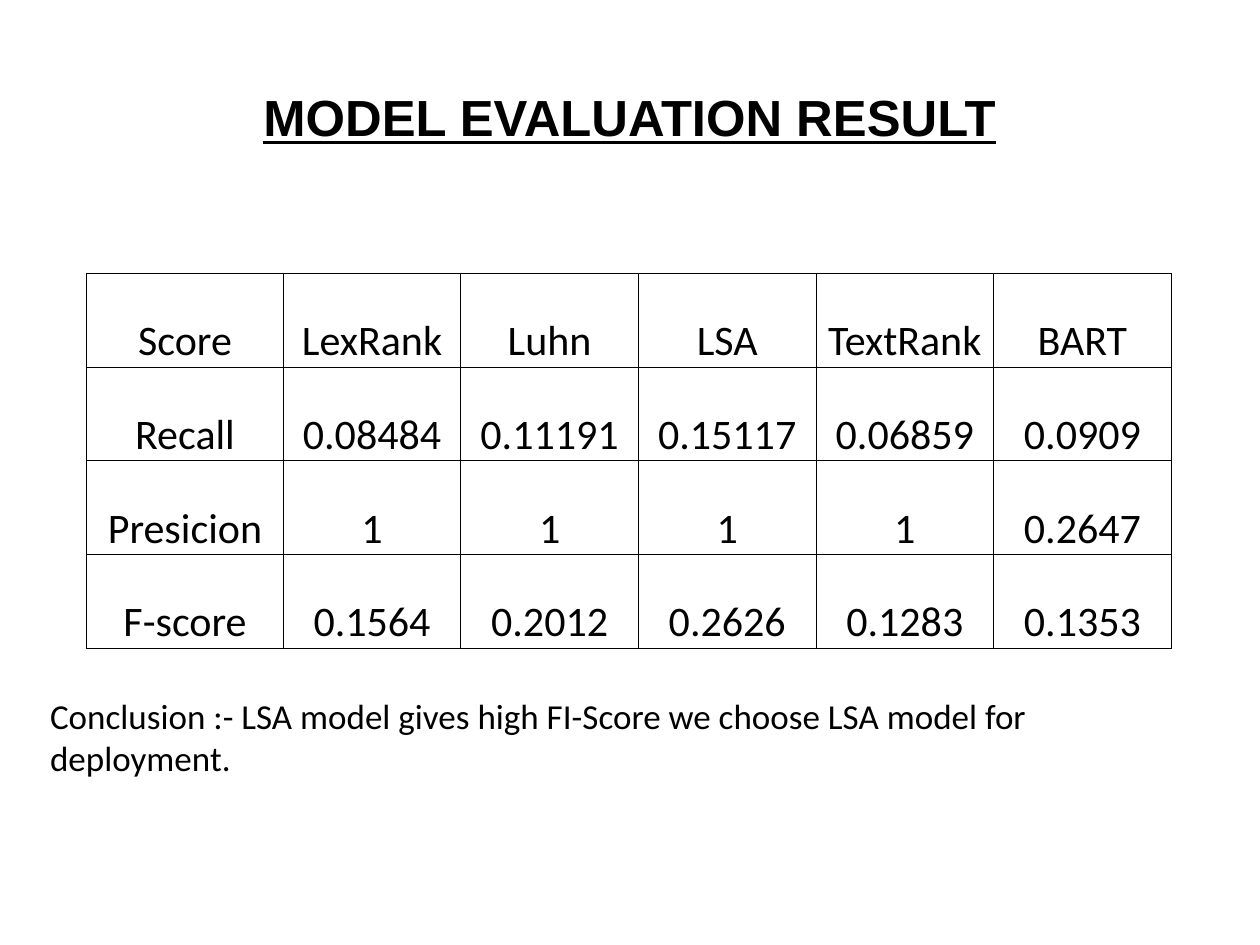
from dataclasses import dataclass

from lxml import etree
from pptx import Presentation
from pptx.dml.color import RGBColor
from pptx.enum import text
from pptx.oxml import ns
from pptx.util import Cm, Pt

COLORS = {"ink": "000000", "paper": "FFFFFF"}


@dataclass(frozen=True)
class Style:
    font: str
    size: float
    bold: bool = False
    underline: bool = False
    align: text.PP_ALIGN = text.PP_ALIGN.CENTER


@dataclass(frozen=True)
class Box:
    left: float
    top: float
    width: float
    height: float

    def lengths(self) -> tuple:
        return Cm(self.left), Cm(self.top), Cm(self.width), Cm(self.height)


TITLE = Style("Arial", 29, bold=True, underline=True)
CELL = Style("Calibri", 24)
NOTE = Style("Calibri", 20, align=text.PP_ALIGN.LEFT)

SCORES = [
    ["Score", "LexRank", "Luhn", "LSA", "TextRank", "BART"],
    ["Recall", "0.08484", "0.11191", "0.15117", "0.06859", "0.0909"],
    ["Presicion", "1", "1", "1", "1", "0.2647"],
    ["F-score", "0.1564", "0.2012", "0.2626", "0.1283", "0.1353"],
]
LABEL_WIDTH, MODEL_WIDTH, ROW_HEIGHT = 3.96, 3.58, 1.89


def write(tf, words: str, style: Style) -> None:
    p = tf.paragraphs[0]
    p.alignment = style.align
    r = p.add_run()
    r.text = words
    r.font.name, r.font.size = style.font, Pt(style.size)
    r.font.bold, r.font.underline = style.bold, style.underline
    r.font.color.rgb = RGBColor.from_string(COLORS["ink"])


def add_borders(cell, width: float) -> None:
    tc_pr = cell._tc.get_or_add_tcPr()
    for i, side in enumerate(("lnL", "lnR", "lnT", "lnB")):
        ln = etree.Element(ns.qn(f"a:{side}"), w=str(Pt(width)))
        fill = etree.SubElement(ln, ns.qn("a:solidFill"))
        etree.SubElement(fill, ns.qn("a:srgbClr"), val=COLORS["ink"])
        tc_pr.insert(i, ln)  # borders come before the fill


def add_scores(s, left: float, top: float, rows: list[list[str]]) -> None:
    widths = [LABEL_WIDTH] + [MODEL_WIDTH] * (len(rows[0]) - 1)
    box = Box(left, top, sum(widths), ROW_HEIGHT * len(rows))
    table = s.shapes.add_table(len(rows), len(widths), *box.lengths()).table
    table.first_row = table.horz_banding = False
    for column, width in zip(table.columns, widths):
        column.width = Cm(width)
    for i, row in enumerate(rows):
        table.rows[i].height = Cm(ROW_HEIGHT)
        for j, words in enumerate(row):
            cell = table.cell(i, j)
            cell.fill.background()
            cell.margin_left = cell.margin_right = cell.margin_top = Cm(0.03)
            cell.margin_bottom = 0
            cell.vertical_anchor = text.MSO_ANCHOR.BOTTOM
            write(cell.text_frame, words, CELL)
            add_borders(cell, 0.5)


def main() -> None:
    prs = Presentation()
    prs.slide_width, prs.slide_height = Cm(25.4), Cm(19.05)
    s = prs.slides.add_slide(prs.slide_layouts[5])
    s.background.fill.solid()
    s.background.fill.fore_color.rgb = RGBColor.from_string(COLORS["paper"])

    # Title
    title = s.shapes.title
    title.left, title.top, title.width, title.height = Box(1.27, 0.76, 22.86, 3.18).lengths()
    title.text_frame.vertical_anchor = text.MSO_ANCHOR.MIDDLE
    write(title.text_frame, "MODEL EVALUATION RESULT", TITLE)

    # Score table
    add_scores(s, 1.75, 5.51, SCORES)

    # Conclusion
    note = s.shapes.add_textbox(*Box(0.76, 13.87, 23.98, 2).lengths())
    note.text_frame.word_wrap = True
    write(note.text_frame,
          "Conclusion :- LSA model gives high FI-Score we choose LSA model for deployment.", NOTE)

    prs.save("out.pptx")


if __name__ == "__main__":
    main()
